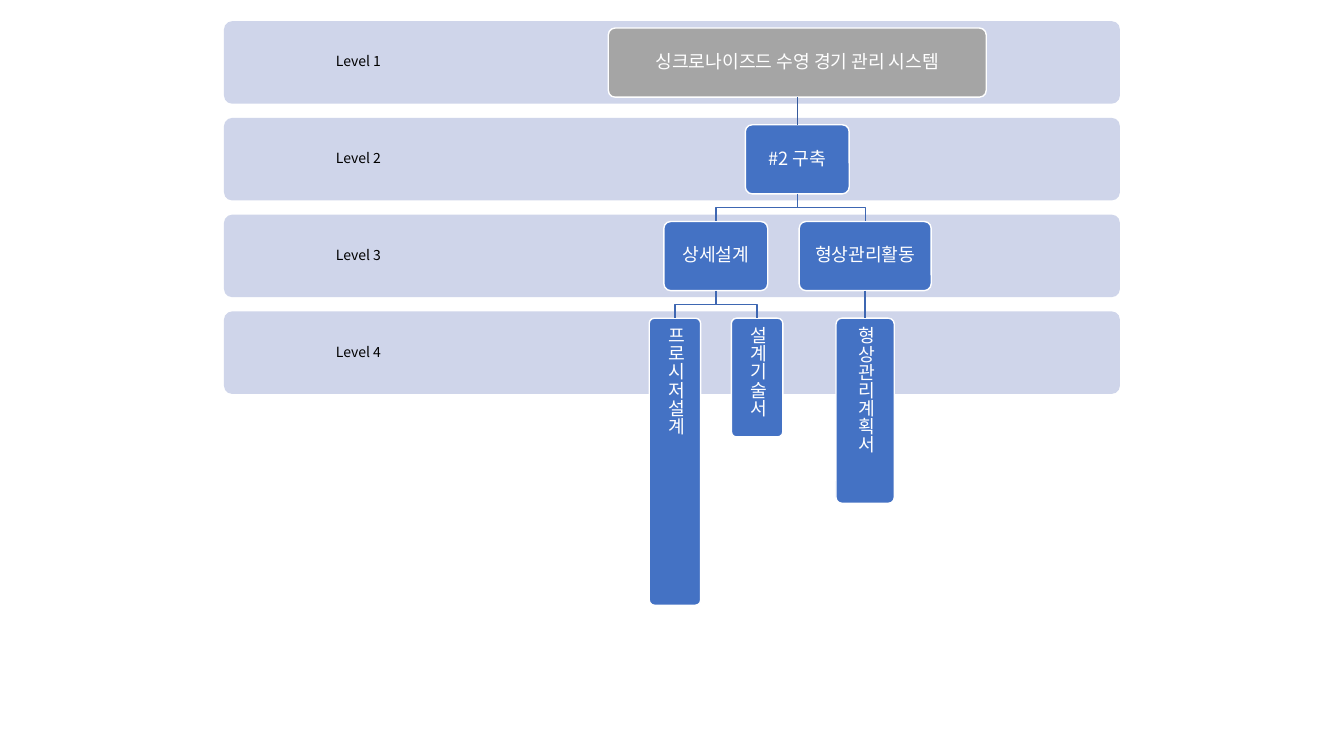
import pptx
import pptx.util
import pptx.dml.color
import pptx.enum.shapes
import pptx.enum.text
import pptx.oxml.ns
import lxml.etree

Pt = pptx.util.Pt
SHAPE = pptx.enum.shapes.MSO_SHAPE
FONT = "Noto Sans CJK KR"
COLORS = {"band": "CFD5EA", "root": "A5A5A5", "node": "4472C4", "white": "FFFFFF",
          "black": "000000", "root_link": "365B9D", "link": "3E67B2"}
PITCH = 69.1          # distance from one level to the next
NODE_HEIGHT = 49.4

# name: (text, parent, level, centre x, width, height)
NODES = {
    "system": ("싱크로나이즈드 수영 경기 관리 시스템", None, 0, 569.5, 270, NODE_HEIGHT),
    "build": ("#2 구축", "system", 1, 569.5, 74.2, NODE_HEIGHT),
    "design": ("상세설계", "build", 2, 511.3, 74.2, NODE_HEIGHT),
    "procedure": ("프로시저설계", "design", 3, 482.1, 36.7, 205),
    "description": ("설계기술서", "design", 3, 540.8, 36.7, 84.8),
    "config": ("형상관리활동", "build", 2, 618, 94.3, NODE_HEIGHT),
    "plan": ("형상관리계획서", "config", 3, 618, 41.6, 132.2),
}


def rgb(name):
    return pptx.dml.color.RGBColor.from_string(COLORS[name])


def write(sp, text, size, color, inset, vertical=False):
    tf = sp.text_frame
    tf.word_wrap = True
    tf.vertical_anchor = pptx.enum.text.MSO_ANCHOR.MIDDLE
    tf.margin_left = tf.margin_right = tf.margin_top = tf.margin_bottom = Pt(inset)
    if vertical:
        tf._txBody.bodyPr.set("vert", "eaVert")
    p = tf.paragraphs[0]
    p.alignment = pptx.enum.text.PP_ALIGN.CENTER
    p.line_spacing = 0.9
    r = p.add_run()
    r.text = text
    r.font.size = Pt(size)
    r.font.name = FONT
    r.font.color.rgb = rgb(color)
    ea = lxml.etree.SubElement(r.font._element, pptx.oxml.ns.qn("a:ea"))
    ea.set("typeface", FONT)


def rounded_box(s, x, y, w, h, fill):
    sp = s.shapes.add_shape(SHAPE.ROUNDED_RECTANGLE, Pt(x), Pt(y), Pt(w), Pt(h))
    sp.adjustments[0] = 0.1
    sp.shadow.inherit = False
    sp.fill.solid()
    sp.fill.fore_color.rgb = rgb(fill)
    sp.line.fill.background()
    return sp


def add_bands(s, x, y, w, h, count):
    """Level bands, each with its label in the left 30 percent."""
    for i in range(count):
        top = y + i * PITCH
        rounded_box(s, x, top, w, h, "band")
        label = s.shapes.add_textbox(Pt(x), Pt(top), Pt(0.3 * w), Pt(h))
        write(label, f"Level {i + 1}", 10, "black", 5.6)


def add_link(s, parent, child, color):
    """Straight line to a child below, otherwise an elbow halfway down."""
    x1, y1 = parent.left + parent.width // 2, parent.top + parent.height
    x2, y2 = child.left + child.width // 2, child.top
    if abs(x1 - x2) < Pt(1):
        link = s.shapes.add_connector(
            pptx.enum.shapes.MSO_CONNECTOR.STRAIGHT, x1, y1, x2, y2)
        link.begin_connect(parent, 2)
        link.end_connect(child, 0)
        lxml.etree.SubElement(link._element.spPr, pptx.oxml.ns.qn("a:effectLst"))
    else:
        middle = (y1 + y2) // 2
        builder = s.shapes.build_freeform(x1, y1)
        builder.add_line_segments([(x1, middle), (x2, middle), (x2, y2)], close=False)
        link = builder.convert_to_shape()
        link.fill.background()
        link.shadow.inherit = False
    link.line.color.rgb = rgb(color)
    link.line.width = Pt(1)


def add_tree(s, y):
    """Nodes level by level, linked to their parents."""
    boxes = {}
    for name, (text, parent, level, centre, w, h) in NODES.items():
        sp = rounded_box(s, centre - w / 2, y + level * PITCH, w, h,
                         "node" if parent else "root")
        sp.line.color.rgb = rgb("white")
        sp.line.width = Pt(1)
        write(sp, text, 13, "white", 5, vertical=level == 3)
        boxes[name] = sp
        if parent:
            add_link(s, boxes[parent], sp, "root_link" if level == 1 else "link")


def main():
    prs = pptx.Presentation()
    prs.slide_width, prs.slide_height = Pt(960), Pt(540)
    s = prs.slides.add_slide(prs.slide_layouts[6])
    add_bands(s, 160, 15.1, 640, 59, 4)
    add_tree(s, 20)
    prs.save("out.pptx")


if __name__ == "__main__":
    main()
